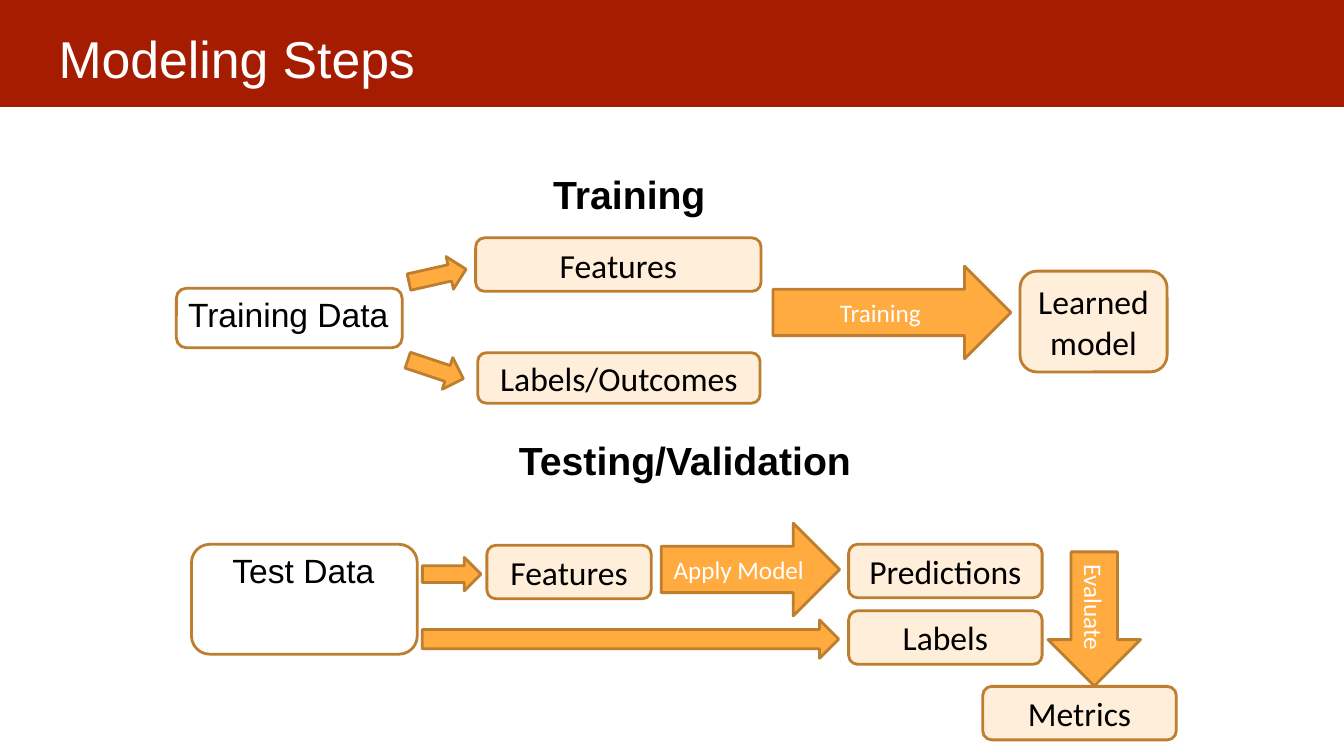
from dataclasses import dataclass

from pptx import Presentation
from pptx.dml.color import RGBColor
from pptx.enum.shapes import MSO_SHAPE
from pptx.enum.text import MSO_ANCHOR, PP_ALIGN
from pptx.shapes.base import BaseShape
from pptx.slide import Slide
from pptx.util import Pt

RECTANGLE = MSO_SHAPE.RECTANGLE
ROUNDED = MSO_SHAPE.ROUNDED_RECTANGLE
ARROW = MSO_SHAPE.RIGHT_ARROW
LEFT, CENTER = PP_ALIGN.LEFT, PP_ALIGN.CENTER
TOP, MIDDLE = MSO_ANCHOR.TOP, MSO_ANCHOR.MIDDLE

COLORS = {
    "band": "A61C00",
    "box": "FFEED9",
    "arrow": "FFAB40",
    "outline": "BD7F2F",
    "dark": "000000",
    "light": "FFFFFF",
}


@dataclass(frozen=True)
class Box:
    """A rounded step box; the position and size are in points."""
    text: str
    left: float
    top: float
    width: float
    height: float = 38.2
    fill: str | None = "box"


@dataclass(frozen=True)
class Arrow:
    """A block arrow; the position and size are in points."""
    left: float
    top: float
    width: float
    height: float
    text: str = ""
    rotation: float = 0


@dataclass(frozen=True)
class Label:
    """Free-standing text; the position and size are in points."""
    text: str
    left: float
    top: float
    width: float
    height: float
    size: float = 24
    color: str = "dark"
    bold: bool = False
    align: PP_ALIGN = CENTER
    inset: float | None = None
    wrap: bool = True


LABELS = [
    Label("Modeling Steps", 32.4, 9.5, 894.2, 59.8, size=37, color="light",
          align=LEFT, inset=9.4),
    Label("Training", 388.1, 118.1, 124.6, 41, size=28, bold=True,
          align=LEFT, wrap=False),
    Label("Testing/Validation", 363.6, 308.2, 254.9, 41, size=28, bold=True,
          align=LEFT, wrap=False),
    Label("Training Data", 123.8, 206.6, 164.2, 36),
    Label("Test Data", 134.6, 389.5, 164.2, 36),
]

BOXES = [
    # Training
    Box("", 126, 205.9, 161.3, 42.5, fill=None),
    Box("Features", 339.8, 169.9, 203.8),
    Box("Labels/Outcomes", 341.3, 252, 201.6, 36),
    Box("Learned model", 728.6, 193.7, 105.1, 72),
    # Testing/Validation
    Box("", 136.8, 388.8, 161.3, 78.5, fill=None),
    Box("Features", 347.8, 389.5, 117.4),
    Box("Predictions", 606.2, 388.8, 138.2),
    Box("Labels", 606.2, 436.3, 138.2),
    Box("Metrics", 702, 490.3, 138.2),
]

ARROWS = [
    # Training
    Arrow(291.6, 185, 41.8, 23.8, rotation=347.3),
    Arrow(290.2, 252, 41.8, 23.8, rotation=18.4),
    Arrow(552.2, 190.1, 169.9, 66.2, "Training"),
    # Testing/Validation
    Arrow(301.7, 398.2, 41.8, 23.8),
    Arrow(301.7, 442.8, 297.4, 27.4),
    Arrow(472.3, 373.7, 127.4, 66.2, "Apply Model"),
    Arrow(733.7, 409, 95.8, 66.2, "Evaluate", rotation=90),
]


def rgb(name: str) -> RGBColor:
    return RGBColor.from_string(COLORS[name])


def write_text(shape: BaseShape, text: str, *, size: float, font: str,
               color: str = "dark", bold: bool = False,
               align: PP_ALIGN = CENTER, anchor: MSO_ANCHOR = MIDDLE,
               wrap: bool = True) -> None:
    frame = shape.text_frame
    frame.word_wrap = wrap
    frame.vertical_anchor = anchor
    paragraph = frame.paragraphs[0]
    paragraph.text = text
    paragraph.alignment = align
    paragraph.font.size = Pt(size)
    paragraph.font.name = font
    paragraph.font.bold = bold
    paragraph.font.color.rgb = rgb(color)


def draw_shape(slide: Slide, kind: MSO_SHAPE, left: float, top: float,
               width: float, height: float, fill: str | None,
               outline: str | None = "outline") -> BaseShape:
    shape = slide.shapes.add_shape(kind, Pt(left), Pt(top), Pt(width), Pt(height))
    shape.shadow.inherit = False
    if fill:
        shape.fill.solid()
        shape.fill.fore_color.rgb = rgb(fill)
    else:
        shape.fill.background()
    if outline:
        shape.line.color.rgb = rgb(outline)
        shape.line.width = Pt(2)
    else:
        shape.line.fill.background()
    return shape


def draw_box(slide: Slide, box: Box) -> None:
    shape = draw_shape(slide, ROUNDED, box.left, box.top, box.width, box.height,
                       box.fill)
    if box.text:
        write_text(shape, box.text, size=24, font="Calibri")


def draw_arrow(slide: Slide, arrow: Arrow) -> None:
    shape = draw_shape(slide, ARROW, arrow.left, arrow.top, arrow.width,
                       arrow.height, "arrow")
    shape.rotation = arrow.rotation
    if arrow.text:
        write_text(shape, arrow.text, size=18, font="Calibri", color="light")


def draw_label(slide: Slide, label: Label) -> None:
    shape = slide.shapes.add_textbox(Pt(label.left), Pt(label.top),
                                     Pt(label.width), Pt(label.height))
    if label.inset is not None:
        frame = shape.text_frame
        frame.margin_left = frame.margin_right = Pt(label.inset)
        frame.margin_top = frame.margin_bottom = Pt(label.inset)
    write_text(shape, label.text, size=label.size, font="Arial",
               color=label.color, bold=label.bold, align=label.align,
               anchor=TOP, wrap=label.wrap)


def main() -> None:
    presentation = Presentation()
    presentation.slide_width = Pt(960)
    presentation.slide_height = Pt(540)
    slide = presentation.slides.add_slide(presentation.slide_layouts[6])

    # Title band
    draw_shape(slide, RECTANGLE, 0, 0, 960, 76.3, "band", outline=None)

    # Title, headings and data names
    for label in LABELS:
        draw_label(slide, label)

    # Flow diagrams
    for box in BOXES:
        draw_box(slide, box)
    for arrow in ARROWS:
        draw_arrow(slide, arrow)

    presentation.save("out.pptx")


if __name__ == "__main__":
    main()
